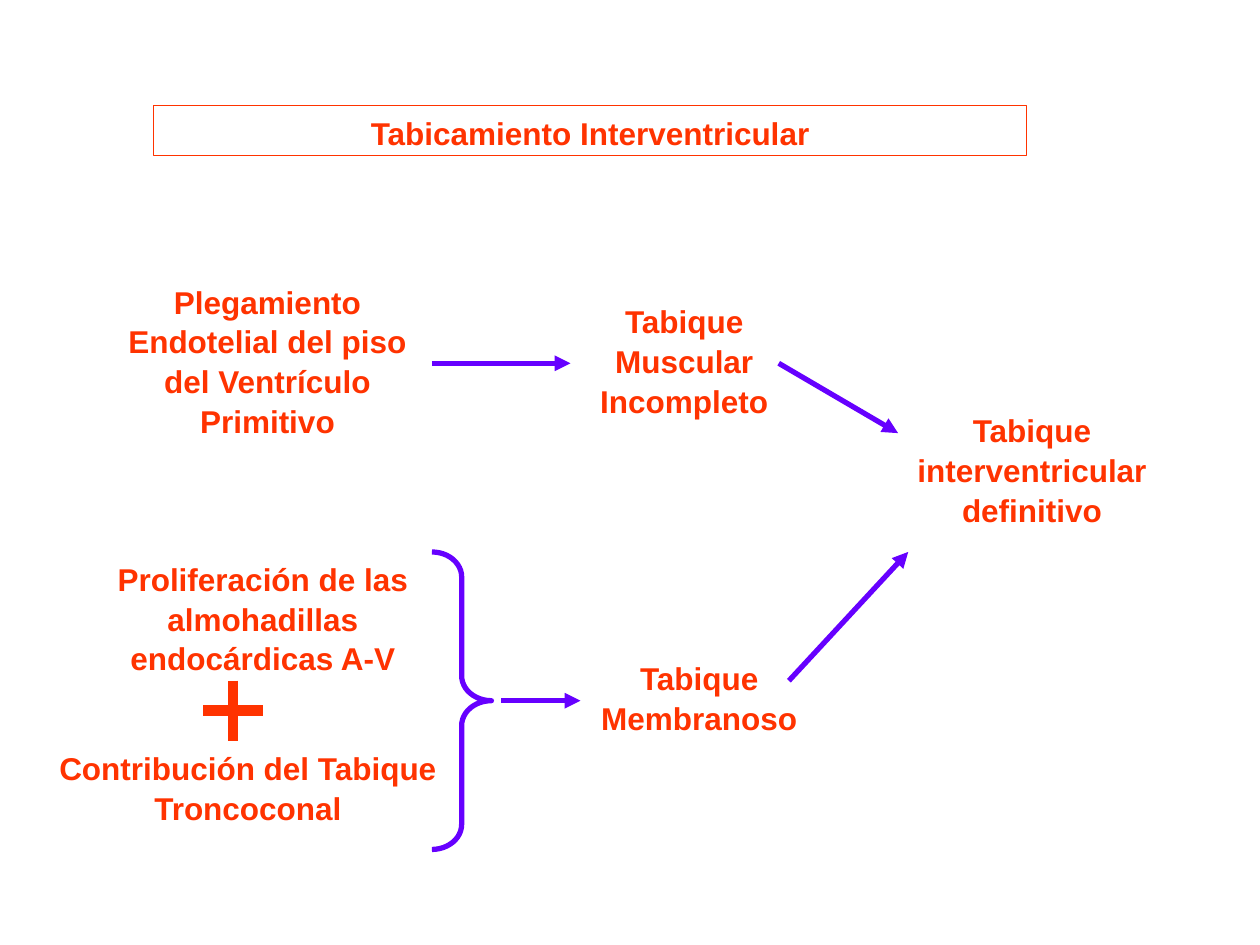
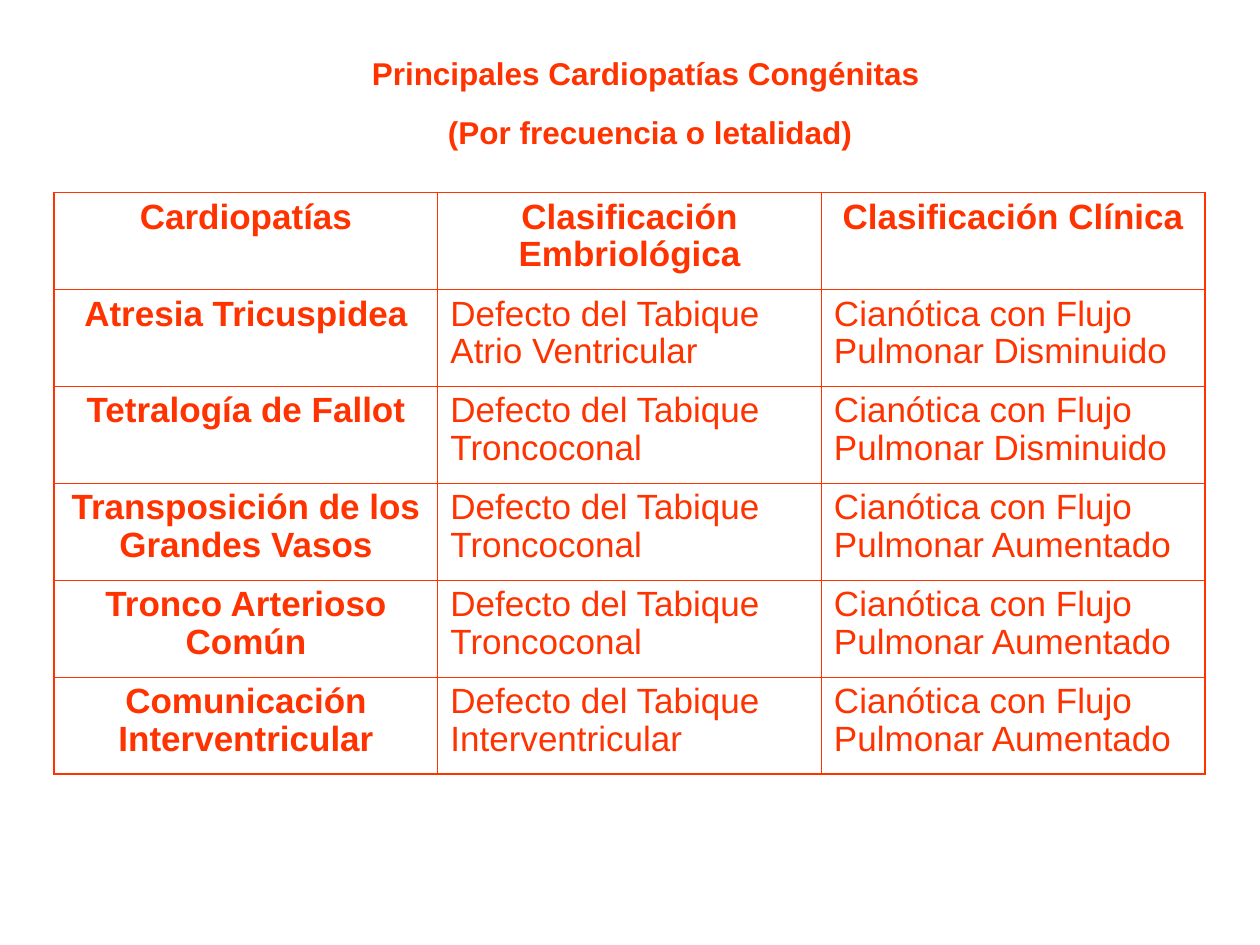
from dataclasses import dataclass

from lxml import etree
from pptx import Presentation
from pptx.dml.color import RGBColor
from pptx.enum import shapes, text
from pptx.oxml import ns
from pptx.shapes.connector import Connector
from pptx.slide import Slide
from pptx.table import _Cell
from pptx.text.text import TextFrame
from pptx.util import Pt

RED = RGBColor(0xFF, 0x33, 0x00)
VIOLET = RGBColor(0x66, 0x00, 0xFF)
FONT = "Arial"
LABEL_SIZE = 18
TABLE_SIZE = 20
LABEL_SPACING = 1.05
TABLE_SPACING = 0.97
OUTER_BORDER = 1.08
INNER_BORDER = 0.75


@dataclass(frozen=True)
class Label:
    words: str
    left: float
    top: float
    width: float
    height: float
    framed: bool = False


@dataclass(frozen=True)
class Line:
    start: tuple[float, float]
    end: tuple[float, float]
    color: RGBColor = VIOLET
    weight: float = 3
    arrow: bool = True


SEPTATION_LABELS = [
    Label("Tabicamiento Interventricular", 87.8, 60.3, 499, 28.8, framed=True),
    Label("Plegamiento Endotelial del piso del Ventrículo Primitivo", 65, 157, 175.7, 93.6),
    Label("Tabique Muscular Incompleto", 310.5, 168.2, 161, 72),
    Label("Proliferación de las almohadillas endocárdicas A-V", 48, 315.4, 204.5, 72),
    Label("Contribución del Tabique Troncoconal", 25.2, 423.5, 233, 50.4),
    Label("Tabique Membranoso", 320.4, 372.2, 158.4, 50.4),
    Label("Tabique interventricular definitivo", 513.4, 230.4, 152.6, 72),
]
SEPTATION_LINES = [
    Line((246.8, 207.6), (326, 207.6)),
    Line((286.4, 400.4), (331.7, 400.4)),
    Line((445, 207.6), (513.2, 247.5)),
    Line((450.8, 389), (519, 315.4)),
]
PLUS_CENTER = (133.2, 406.1)
PLUS_ARM = 17.1

DEFECT_TITLE = "Principales Cardiopatías Congénitas \n(Por frecuencia o letalidad)"
CYANOTIC_LESS = "Cianótica con Flujo Pulmonar Disminuido"
CYANOTIC_MORE = "Cianótica con Flujo Pulmonar Aumentado"
DEFECT_ROWS = [
    ("Cardiopatías", "Clasificación Embriológica", "Clasificación Clínica"),
    ("Atresia Tricuspidea", "Defecto del Tabique Atrio Ventricular", CYANOTIC_LESS),
    ("Tetralogía de Fallot", "Defecto del Tabique Troncoconal", CYANOTIC_LESS),
    ("Transposición de los Grandes Vasos", "Defecto del Tabique Troncoconal", CYANOTIC_MORE),
    ("Tronco Arterioso Común", "Defecto del Tabique Troncoconal", CYANOTIC_MORE),
    ("Comunicación Interventricular", "Defecto del Tabique Interventricular", CYANOTIC_MORE),
]
COLUMN_WIDTH = 219.2
ROW_HEIGHT = 55.4


def write_text(frame: TextFrame, words: str, size: float, spacing: float,
               bold: bool = True, centered: bool = True) -> None:
    frame.text = words
    for index, paragraph in enumerate(frame.paragraphs):
        paragraph.alignment = text.PP_ALIGN.CENTER if centered else text.PP_ALIGN.LEFT
        paragraph.line_spacing = spacing
        if index:
            paragraph.space_before = Pt(11.2)
        paragraph.font.name = FONT
        paragraph.font.size = Pt(size)
        paragraph.font.bold = bold
        paragraph.font.color.rgb = RED


def add_label(slide: Slide, label: Label) -> None:
    box = slide.shapes.add_textbox(
        Pt(label.left), Pt(label.top), Pt(label.width), Pt(label.height))
    frame = box.text_frame
    frame.word_wrap = True
    frame.auto_size = text.MSO_AUTO_SIZE.SHAPE_TO_FIT_TEXT
    write_text(frame, label.words, LABEL_SIZE, LABEL_SPACING)
    if label.framed:
        box.line.color.rgb = RED
        box.line.width = Pt(0.75)


def add_line(slide: Slide, line: Line) -> Connector:
    connector = slide.shapes.add_connector(
        shapes.MSO_CONNECTOR.STRAIGHT, *map(Pt, line.start + line.end))
    connector.line.color.rgb = line.color
    connector.line.width = Pt(line.weight)
    if line.arrow:
        outline = connector.line._get_or_add_ln()
        etree.SubElement(outline, ns.qn("a:tailEnd"), type="triangle")
    etree.SubElement(connector._element.spPr, ns.qn("a:effectLst"))
    return connector


def add_brace(slide: Slide) -> None:
    brace = slide.shapes.add_shape(
        shapes.MSO_SHAPE.RIGHT_BRACE, Pt(246.8), Pt(315.4), Pt(34), Pt(170))
    brace.adjustments[0] = 0.42
    brace.shadow.inherit = False
    brace.fill.background()
    brace.line.color.rgb = VIOLET
    brace.line.width = Pt(3)


def add_plus(slide: Slide) -> None:
    x, y = PLUS_CENTER
    for dx, dy in ((0, PLUS_ARM), (PLUS_ARM, 0)):
        add_line(slide, Line((x - dx, y - dy), (x + dx, y + dy), RED, 6, arrow=False))


def set_borders(cell: _Cell, outer_sides: dict[str, bool]) -> None:
    """Draw every side, heavier where it lies on the table's edge."""
    properties = cell._tc.get_or_add_tcPr()
    for side, is_outer in outer_sides.items():
        weight = OUTER_BORDER if is_outer else INNER_BORDER
        border = etree.SubElement(properties, ns.qn(f"a:ln{side}"), w=str(int(Pt(weight))))
        fill = etree.SubElement(border, ns.qn("a:solidFill"))
        etree.SubElement(fill, ns.qn("a:srgbClr"), val=str(RED))


def add_defect_table(slide: Slide) -> None:
    row_count, column_count = len(DEFECT_ROWS), len(DEFECT_ROWS[0])
    table = slide.shapes.add_table(
        row_count, column_count, Pt(31), Pt(110),
        Pt(COLUMN_WIDTH * column_count), Pt(ROW_HEIGHT * row_count)).table
    table.horz_banding = False
    table.first_row = False
    for column in table.columns:
        column.width = Pt(COLUMN_WIDTH)
    for r, row in enumerate(DEFECT_ROWS):
        table.rows[r].height = Pt(ROW_HEIGHT)
        for c, words in enumerate(row):
            cell = table.cell(r, c)
            is_heading = r == 0 or c == 0
            write_text(cell.text_frame, words, TABLE_SIZE, TABLE_SPACING,
                       bold=is_heading, centered=is_heading)
            set_borders(cell, {"L": c == 0, "R": c == column_count - 1,
                               "T": r == 0, "B": r == row_count - 1})
            cell.fill.background()


def build_septation_slide(slide: Slide) -> None:
    for label in SEPTATION_LABELS:
        add_label(slide, label)
    for line in SEPTATION_LINES:
        add_line(slide, line)
    add_brace(slide)
    add_plus(slide)


def build_defects_slide(slide: Slide) -> None:
    add_label(slide, Label(DEFECT_TITLE, 105, 26, 533, 62))
    add_defect_table(slide)


def main() -> None:
    presentation = Presentation()
    presentation.slide_width, presentation.slide_height = Pt(720), Pt(540)
    blank = presentation.slide_layouts[6]
    for build in (build_septation_slide, build_defects_slide):
        build(presentation.slides.add_slide(blank))
    presentation.save("out.pptx")


if __name__ == "__main__":
    main()
